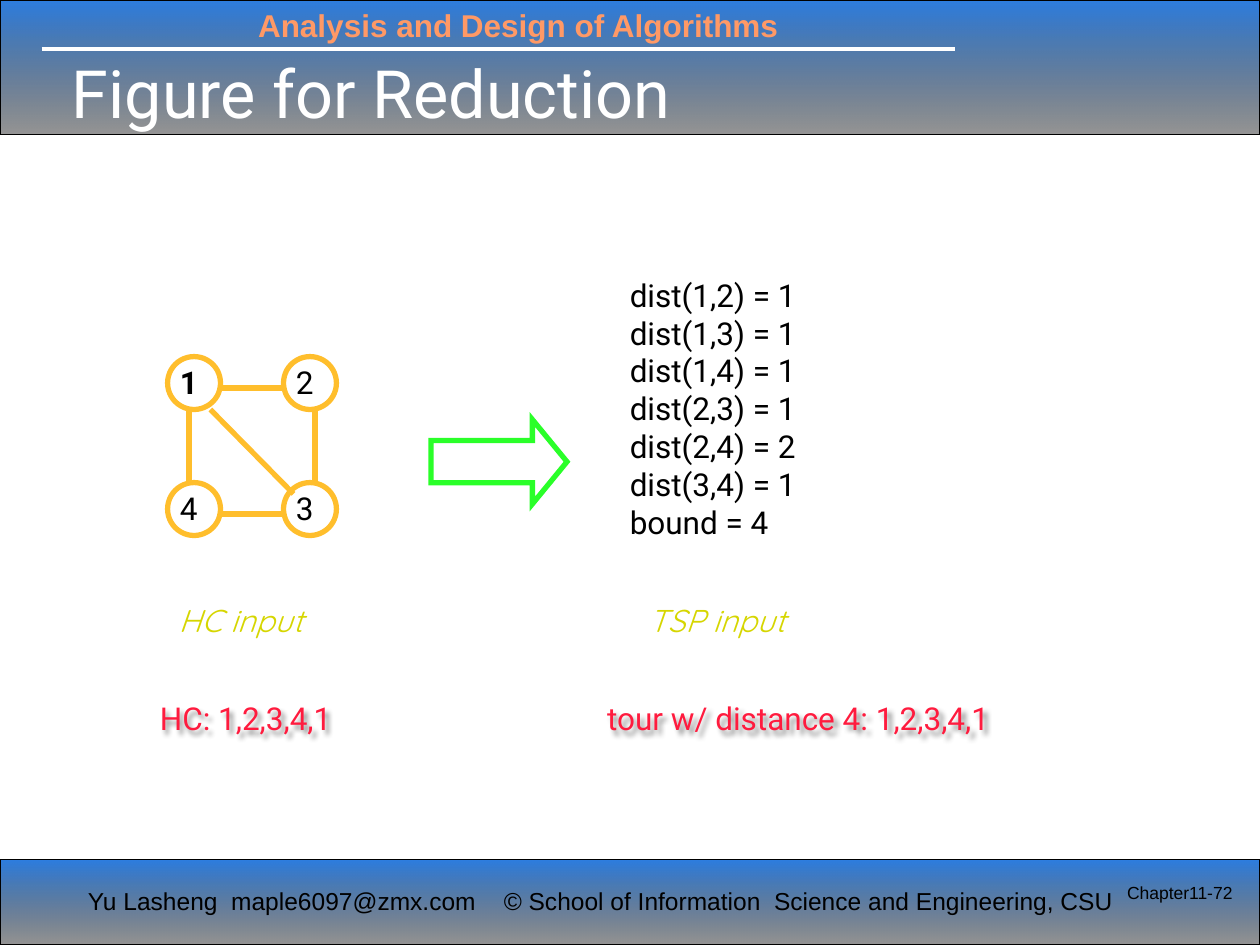
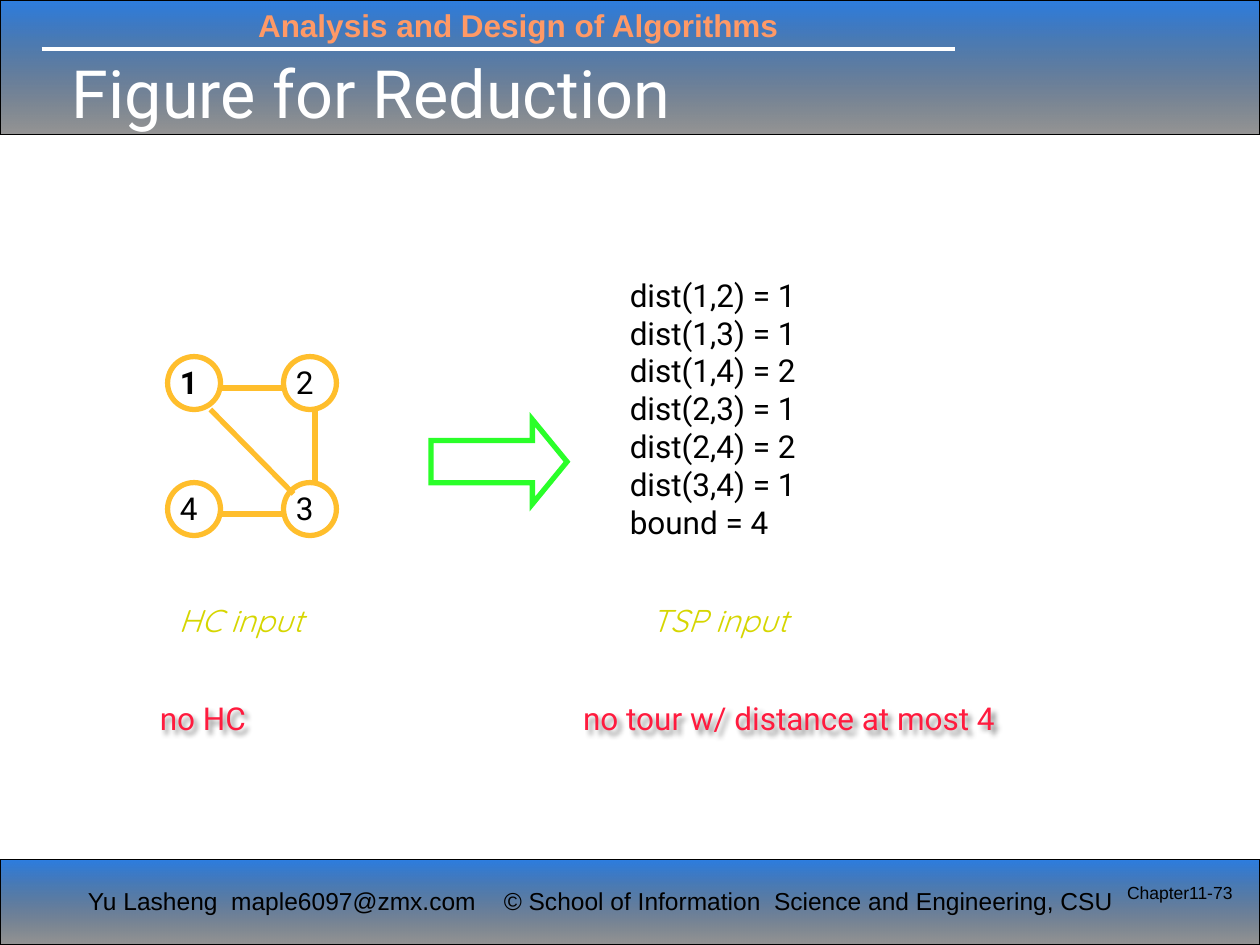
"""Build two slides that reduce a Hamiltonian cycle input to a TSP input."""
from lxml import etree
from pptx import Presentation
from pptx.dml.color import RGBColor
from pptx.enum.shapes import MSO_CONNECTOR, MSO_SHAPE
from pptx.enum.text import MSO_ANCHOR, MSO_AUTO_SIZE, PP_ALIGN
from pptx.oxml.ns import qn
from pptx.util import Inches, Pt

COLORS = {
    "blue": "0E6BDC", "black": "000000", "white": "FFFFFF", "peach": "FF9966",
    "graph": "FFBE2C", "arrow": "2AFF29", "caption": "D6D600", "result": "FF1B3E",
}
TITLE = "Figure for Reduction"
HEADER = "Analysis and Design of Algorithms"
AUTHOR = "Yu Lasheng  maple6097@zmx.com"
COPYRIGHT = "© School of Information  Science and Engineering, CSU"
CHAPTER, FIRST_PAGE, BOUND = "Chapter11", 72, 4

BANDS = [(0, 1.07), (6.82, 0.68)]
NODE_SIZE = 0.42
NODES = {1: (1.33, 2.83), 2: (2.25, 2.83), 3: (2.25, 3.83), 4: (1.33, 3.83)}
EDGE_LINES = {
    (1, 2): (1.75, 3.08, 2.25, 3.08),
    (3, 4): (1.75, 4.08, 2.25, 4.08),
    (2, 3): (2.5, 3.25, 2.5, 3.83),
    (1, 4): (1.5, 3.25, 1.5, 3.83),
    (1, 3): (1.67, 3.25, 2.33, 3.92),
}
PAIRS = [(1, 2), (1, 3), (1, 4), (2, 3), (2, 4), (3, 4)]
REDUCTIONS = [
    {
        "edges": [(1, 2), (3, 4), (2, 3), (1, 4), (1, 3)],
        "tsp_left": 5.05,
        "hc_result": ("HC: 1,2,3,4,1", (1.17, 5.5, 2.09, 0.51)),
        "tsp_result": ("tour w/ distance 4: 1,2,3,4,1", (4.72, 5.5, 4.28, 0.51)),
    },
    {
        "edges": [(1, 2), (3, 4), (2, 3), (1, 3)],
        "tsp_left": 5.07,
        "hc_result": ("no HC", (1.17, 5.5, 1.05, 0.51)),
        "tsp_result": ("no tour w/ distance at most 4", (4.53, 5.5, 4.4, 0.51)),
    },
]


def rgb(name):
    return RGBColor.from_string(COLORS[name])


def write(frame, text, size=18, font="Roboto", color="black", bold=False,
          italic=False, align=PP_ALIGN.LEFT, anchor=MSO_ANCHOR.TOP):
    frame.word_wrap = True
    frame.auto_size = MSO_AUTO_SIZE.NONE
    frame.vertical_anchor = anchor
    frame.text = text
    for paragraph in frame.paragraphs:
        paragraph.alignment = align
        for run in paragraph.runs:
            run.font.size = Pt(size)
            run.font.name = font
            run.font.bold = bold
            run.font.italic = italic
            run.font.color.rgb = rgb(color)


def add_text(shapes, box, text, **style):
    shape = shapes.add_textbox(*map(Inches, box))
    write(shape.text_frame, text, **style)
    return shape


def add_outline(shapes, kind, box, color, width):
    shape = shapes.add_shape(kind, *map(Inches, box))
    shape.shadow.inherit = False
    shape.fill.background()
    shape.line.color.rgb = rgb(color)
    shape.line.width = Pt(width)
    etree.SubElement(shape.element.spPr.find(qn("a:ln")), qn("a:miter"), lim="800000")
    return shape


def add_line(shapes, ends, color, width):
    line = shapes.add_connector(MSO_CONNECTOR.STRAIGHT, *map(Inches, ends))
    line.line.color.rgb = rgb(color)
    line.line.width = Pt(width)
    etree.SubElement(line.element.spPr, qn("a:effectLst"))
    return line


def add_band(shapes, top, height):
    band = add_outline(shapes, MSO_SHAPE.RECTANGLE, (0, top, 10, height), "black", 0.75)
    band.fill.gradient()
    band.fill.gradient_angle = 270
    for stop, position, color in zip(band.fill.gradient_stops, (0, 1), ("blue", "black")):
        stop.position = position
        stop.color.rgb = rgb(color)
    gradient = band.element.spPr.find(qn("a:gradFill"))
    for tint, opacity in zip(gradient.iter(qn("a:srgbClr")), (88, 41)):
        etree.SubElement(tint, qn("a:alpha"), val=str(opacity * 1000))
    return band


def add_shared_parts(slide, layout):
    shapes = slide.shapes
    parts = [add_band(shapes, top, height) for top, height in BANDS]
    parts += [
        add_line(shapes, (0.33, 0.39, 7.58, 0.39), "white", 2.25),
        add_text(shapes, (1.95, 0, 5, 0.4), HEADER, font="Arial", color="peach", bold=True),
        add_text(shapes, (0.6, 6.98, 3.3, 0.34), AUTHOR, size=14, font="Arial"),
        add_text(shapes, (3.9, 6.98, 5.12, 0.34), COPYRIGHT, size=14, font="Arial"),
    ]
    for part in parts:
        layout.shapes.element.append(part.element)


def add_graph(slide, edges):
    shapes = slide.shapes.add_group_shape().shapes
    for node, (left, top) in NODES.items():
        add_outline(shapes, MSO_SHAPE.OVAL, (left, top, NODE_SIZE, NODE_SIZE), "graph", 3)
        add_text(shapes, (left, top, 0.41, 0.5), str(node), bold=node == 1)
    for edge in edges:
        add_line(shapes, EDGE_LINES[edge], "graph", 3)


def add_result(slide, text, box):
    shape = add_text(slide.shapes, box, text, color="result")
    effects = etree.SubElement(shape.element.spPr, qn("a:effectLst"))
    shadow = etree.SubElement(effects, qn("a:outerShdw"), blurRad="38100",
                              dist="38100", dir="2700000", algn="tl")
    tint = etree.SubElement(shadow, qn("a:srgbClr"), val=COLORS["black"])
    etree.SubElement(tint, qn("a:alpha"), val="43000")


def add_reduction(slide, reduction, page):
    shapes, edges = slide.shapes, reduction["edges"]
    title = shapes.title
    title.left, title.top, title.width, title.height = map(Inches, (0.47, 0.39, 7.81, 0.68))
    write(title.text_frame, TITLE, size=38, color="white", anchor=MSO_ANCHOR.MIDDLE)

    add_graph(slide, edges)
    arrow = add_outline(shapes, MSO_SHAPE.RIGHT_ARROW, (3.42, 3.33, 1.08, 0.67), "arrow", 3)
    arrow.adjustments[1] = 0.41

    distances = [f"dist({a},{b}) = {1 if (a, b) in edges else 2}" for a, b in PAIRS]
    add_text(shapes, (4.9, 2.14, 1.96, 2.93), "\n".join(distances + [f"bound = {BOUND}"]))

    caption = {"font": "Quicksand", "color": "caption", "italic": True}
    add_text(shapes, (1.32, 4.72, 1.53, 0.5), "HC input", **caption)
    add_text(shapes, (reduction["tsp_left"], 4.72, 1.66, 0.51), "TSP input", **caption)
    add_result(slide, *reduction["hc_result"])
    add_result(slide, *reduction["tsp_result"])
    add_text(shapes, (8.62, 6.95, 1.26, 0.5), f"{CHAPTER}-{page}", size=10,
             font="Arial", align=PP_ALIGN.RIGHT)


def main():
    presentation = Presentation()
    presentation.slide_width, presentation.slide_height = Inches(10), Inches(7.5)
    layout = presentation.slide_layouts.get_by_name("Title Only")
    slides = [presentation.slides.add_slide(layout) for _ in REDUCTIONS]
    add_shared_parts(slides[0], layout)
    for page, (slide, reduction) in enumerate(zip(slides, REDUCTIONS), FIRST_PAGE):
        add_reduction(slide, reduction, page)
    presentation.save("out.pptx")


if __name__ == "__main__":
    main()
